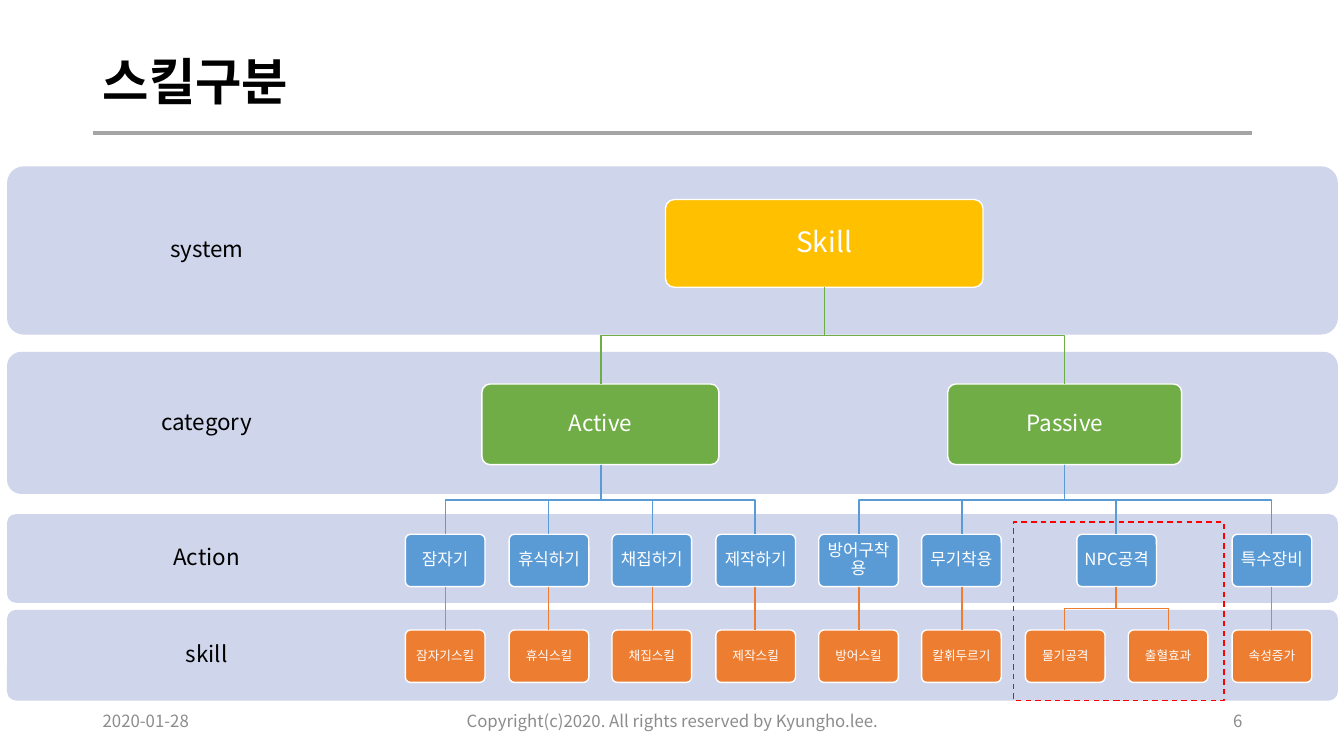
"""Builds the skill classification slide: a four-level tree over labelled bands."""
from lxml import etree
from pptx import Presentation
from pptx.dml.color import RGBColor
from pptx.enum.dml import MSO_LINE
from pptx.enum.shapes import MSO_CONNECTOR, MSO_SHAPE
from pptx.enum.text import MSO_ANCHOR, PP_ALIGN
from pptx.oxml.ns import qn
from pptx.util import Pt

PX = 9144
FONT = "Noto Sans CJK KR"
LEFT, CENTER, RIGHT = PP_ALIGN.LEFT, PP_ALIGN.CENTER, PP_ALIGN.RIGHT
MIDDLE = MSO_ANCHOR.MIDDLE
ROUNDED, RECTANGLE = MSO_SHAPE.ROUNDED_RECTANGLE, MSO_SHAPE.RECTANGLE
STRAIGHT = MSO_CONNECTOR.STRAIGHT
DASH = MSO_LINE.DASH

BLACK = RGBColor(0x00, 0x00, 0x00)
WHITE = RGBColor(0xFF, 0xFF, 0xFF)
GRAY = RGBColor(0xA5, 0xA5, 0xA5)
FOOTER_GRAY = RGBColor(0x8C, 0x8C, 0x8C)
LAVENDER = RGBColor(0xCF, 0xD5, 0xEA)
YELLOW = RGBColor(0xFF, 0xC0, 0x00)
GREEN = RGBColor(0x70, 0xAD, 0x47)
BLUE = RGBColor(0x5B, 0x9B, 0xD5)
ORANGE = RGBColor(0xED, 0x7D, 0x31)
RED = RGBColor(0xFF, 0x00, 0x00)

BANDS = [("system", 165, 167), ("category", 349, 141), ("Action", 510, 88), ("skill", 605, 90)]
TREE = [
    ("Active", 235, [
        ("잠자기", ["잠자기스킬"]),
        ("휴식하기", ["휴식스킬"]),
        ("채집하기", ["채집스킬"]),
        ("제작하기", ["제작스킬"]),
    ]),
    ("Passive", 232, [
        ("방어구착용", ["방어스킬"]),
        ("무기착용", ["칼휘두르기"]),
        ("NPC공격", ["물기공격", "출혈효과"]),
        ("특수장비", ["속성증가"]),
    ]),
]
FOOTERS = [
    ("2020-01-28", 92, 300, LEFT),
    ("Copyright(c)2020. All rights reserved by Kyungho.lee.", 442, 450, CENTER),
    ("6", 942, 300, RIGHT),
]
ROOT_X, ROOT_TOP, ROOT_BOTTOM = 818, 198, 285
CATEGORY_TOP, CATEGORY_BOTTOM = 381, 461
ACTION_TOP, ACTION_BOTTOM = 530, 582
SKILL_TOP = 625
FIRST_LEAF_X, LEAF_STEP = 442, 102.38
LEAF_WIDTH, LEAF_HEIGHT = 79, 52

prs = Presentation()
prs.slide_width, prs.slide_height = 1333 * PX, 750 * PX
slide = prs.slides.add_slide(prs.slide_layouts[5])
shapes = slide.shapes


def write(holder, text, size, color, align, inset, spacing=0.9, bold=False):
    """Fill a shape with one formatted, vertically centred paragraph."""
    frame = holder.text_frame
    frame.word_wrap = True
    frame.vertical_anchor = MIDDLE
    frame.margin_left = frame.margin_right = inset * PX
    frame.margin_top = frame.margin_bottom = min(inset, 5) * PX
    paragraph = frame.paragraphs[0]
    paragraph.text = text
    paragraph.alignment = align
    paragraph.line_spacing = spacing
    font = paragraph.font
    font.size, font.bold, font.name = Pt(size), bold, FONT
    font.color.rgb = color
    etree.SubElement(font._rPr, qn("a:ea"), typeface=FONT)


def draw_line(points, color, width=1):
    """Draw a straight connector for two points, an open path for more."""
    corners = [(round(x) * PX, round(y) * PX) for x, y in points]
    if len(corners) == 2:
        stroke = shapes.add_connector(STRAIGHT, *corners[0], *corners[1])
    else:
        builder = shapes.build_freeform(*corners[0])
        builder.add_line_segments(corners[1:], close=False)
        stroke = builder.convert_to_shape()
        stroke.fill.background()
    stroke.line.color.rgb = color
    stroke.line.width = Pt(width)
    etree.SubElement(stroke._element.spPr, qn("a:effectLst"))


draw_line([(92, 132), (1242, 132)], GRAY, 2.25)
title = shapes.title
title.left, title.top, title.width, title.height = 92 * PX, 40 * PX, 1150 * PX, 87 * PX
write(title, "스킬구분", 36, BLACK, LEFT, 10, bold=True)

boxes = [("", 667, top, 1320, height, LAVENDER, LAVENDER, 16, 12) for _, top, height in BANDS]
boxes.append(("Skill", ROOT_X, ROOT_TOP, 315, ROOT_BOTTOM - ROOT_TOP, YELLOW, WHITE, 20, 8))
links = []
leaf_index = 0
for category, category_width, actions in TREE:
    action_xs = []
    for action, skills in actions:
        skill_xs = [FIRST_LEAF_X + (leaf_index + i) * LEAF_STEP for i in range(len(skills))]
        leaf_index += len(skills)
        action_x = (skill_xs[0] + skill_xs[-1]) / 2
        action_xs.append(action_x)
        boxes.append((action, action_x, ACTION_TOP, LEAF_WIDTH, LEAF_HEIGHT, BLUE, WHITE, 12, 5))
        for skill, skill_x in zip(skills, skill_xs):
            boxes.append((skill, skill_x, SKILL_TOP, LEAF_WIDTH, LEAF_HEIGHT, ORANGE, WHITE, 9, 4))
            links.append((action_x, ACTION_BOTTOM, skill_x, SKILL_TOP, ORANGE))
    category_x = (action_xs[0] + action_xs[-1]) / 2
    boxes.append((category, category_x, CATEGORY_TOP, category_width,
                  CATEGORY_BOTTOM - CATEGORY_TOP, GREEN, WHITE, 16, 7))
    links.append((ROOT_X, ROOT_BOTTOM, category_x, CATEGORY_TOP, GREEN))
    links += [(category_x, CATEGORY_BOTTOM, x, ACTION_TOP, BLUE) for x in action_xs]

for text, center, top, width, height, fill, border, size, inset in boxes:
    left = round(center - width / 2)
    box = shapes.add_shape(ROUNDED, left * PX, top * PX, width * PX, height * PX)
    box.adjustments[0] = 0.1
    box.shadow.inherit = False
    box.fill.solid()
    box.fill.fore_color.rgb = fill
    if border == fill:
        box.line.fill.background()
    else:
        box.line.color.rgb = border
        box.line.width = Pt(1)
    if text:
        write(box, text, size, WHITE, CENTER, inset)

for parent_x, parent_bottom, child_x, child_top, color in links:
    middle = (parent_bottom + child_top) / 2
    bend = [] if parent_x == child_x else [(parent_x, middle), (child_x, middle)]
    draw_line([(parent_x, parent_bottom), *bend, (child_x, child_top)], color)

for level, top, height in BANDS:
    label = shapes.add_textbox(7 * PX, top * PX, 396 * PX, height * PX)
    write(label, level, 16, BLACK, CENTER, 12)

for text, left, width, align in FOOTERS:
    footer = shapes.add_textbox(left * PX, 695 * PX, width * PX, 40 * PX)
    write(footer, text, 12, FOOTER_GRAY, align, 10, spacing=1.0)

npc_frame = shapes.add_shape(RECTANGLE, 1005 * PX, 518 * PX, 209 * PX, 177 * PX)
npc_frame.shadow.inherit = False
npc_frame.fill.background()
npc_frame.line.color.rgb = RED
npc_frame.line.width = Pt(1)
npc_frame.line.dash_style = DASH

prs.save("out.pptx")
